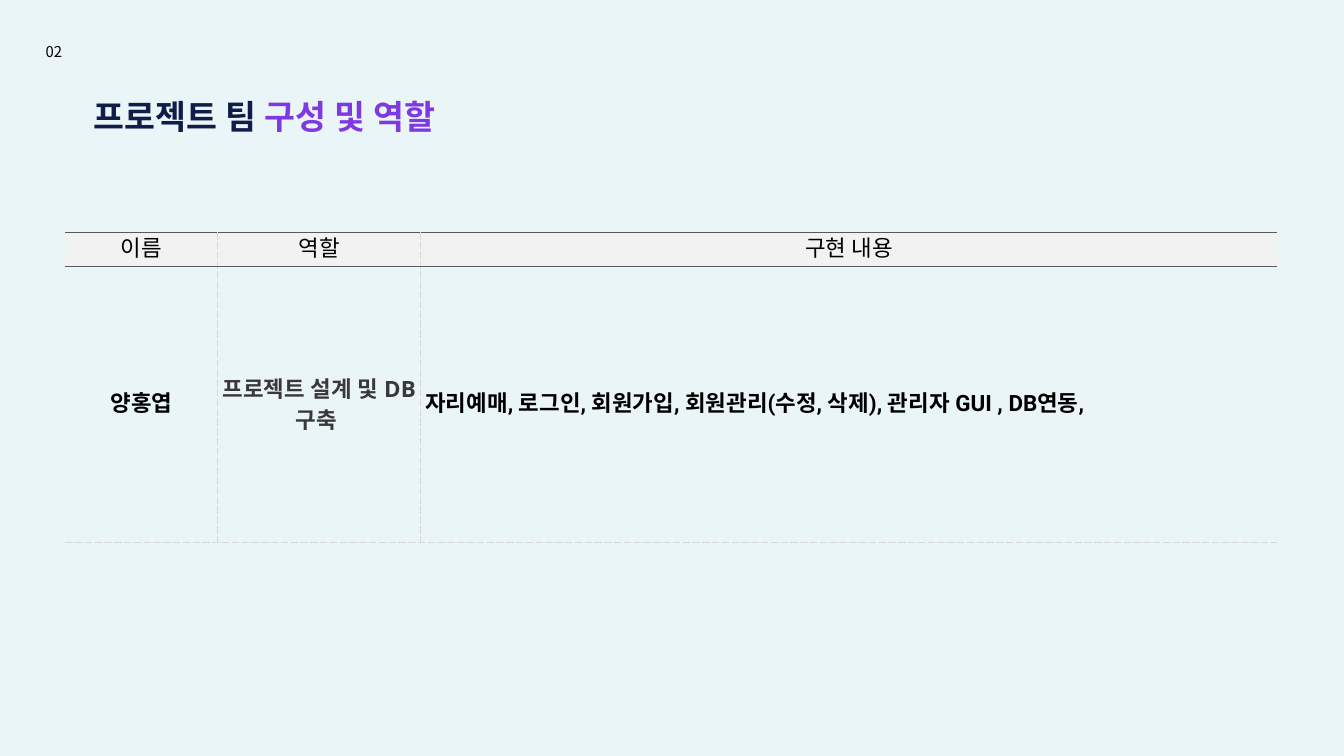
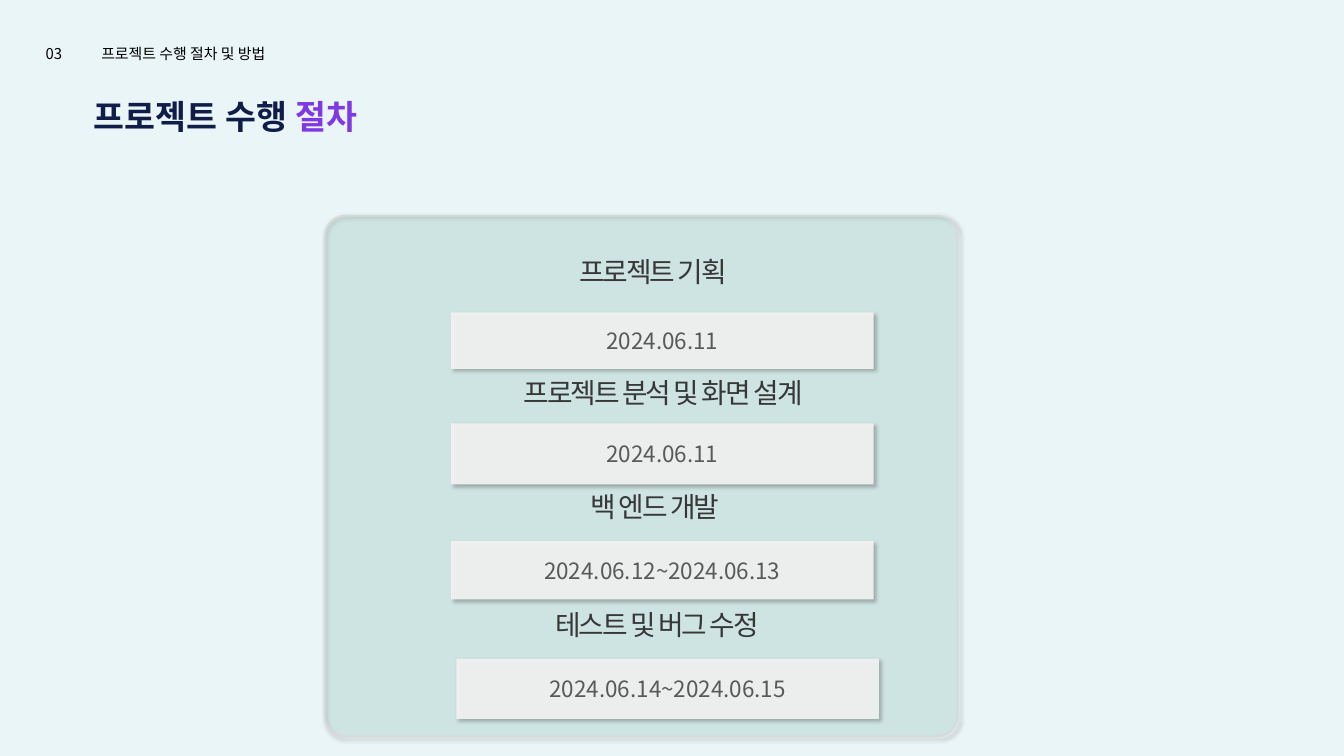
from dataclasses import dataclass

from lxml import etree
from pptx import Presentation
from pptx.dml.color import RGBColor
from pptx.enum.shapes import MSO_SHAPE
from pptx.enum.text import MSO_ANCHOR, MSO_AUTO_SIZE, PP_ALIGN
from pptx.oxml.ns import qn
from pptx.util import Inches, Pt

RECTANGLE, ROUNDED = MSO_SHAPE.RECTANGLE, MSO_SHAPE.ROUNDED_RECTANGLE
LEFT, CENTER = PP_ALIGN.LEFT, PP_ALIGN.CENTER
MIDDLE = MSO_ANCHOR.MIDDLE
GROW = MSO_AUTO_SIZE.SHAPE_TO_FIT_TEXT
PLAIN_TABLE = "{2D5ABB26-0587-4C30-8999-92F81FD0307C}"

# The slide is a grid of 80 columns and 45 rows, each a quarter inch
COLUMNS, ROWS, UNIT = 80, 45, 0.25


@dataclass(frozen=True)
class Theme:
    background: str = "DBEEF4"
    navy: str = "111D49"
    purple: str = "7F39E3"
    black: str = "000000"
    heading: str = "373737"
    role: str = "3A3838"
    grey: str = "595959"
    rule: str = "D9D9D9"
    light: str = "F2F2F2"
    green: str = "289B6E"
    sans: str = "Noto Sans CJK KR"
    display: str = "Roboto"
    role_font: str = "Open Sans"
    stage_font: str = "Calibri"
    small: float = 16
    body: float = 24
    stage: float = 29.8
    title: float = 36
    stage_leading: float = 41.7


THEME = Theme()


@dataclass(frozen=True)
class Box:
    """An area in grid units."""
    left: float
    top: float
    width: float
    height: float

    def inner(self, left, top, width, height):
        return Box(self.left + left, self.top + top, width, height)

    def lengths(self):
        return [Inches(value * UNIT) for value in (self.left, self.top, self.width, self.height)]


PAGE = Box(0, 0, COLUMNS, ROWS)


# Shared helpers
def set_alpha(element, percent):
    color = next(element.iter(qn("a:srgbClr")))
    etree.SubElement(color, qn("a:alpha"), val=str(percent * 1000))


def set_fill(shape, color, percent):
    shape.fill.solid()
    shape.fill.fore_color.rgb = RGBColor.from_string(color)
    set_alpha(shape._element.spPr.find(qn("a:solidFill")), percent)


def style_span(span, font, size, color, bold=False):
    span.font.name = font
    span.font.size = Pt(size)
    span.font.bold = bold
    span.font.color.rgb = RGBColor.from_string(color)
    east_asian = etree.SubElement(span.font._element, qn("a:ea"))
    east_asian.set("typeface", font)


def write(frame, text, font, size, color, bold=False, align=LEFT):
    frame.text = text
    para = frame.paragraphs[0]
    para.alignment = align
    style_span(para.runs[0], font, size, color, bold)
    return para


def add_text(page, box, text, font, size, color, align=LEFT):
    shape = page.shapes.add_textbox(*box.lengths())
    frame = shape.text_frame
    frame.word_wrap = True
    frame.auto_size = GROW
    return frame, write(frame, text, font, size, color, align=align)


def add_shadow(shape):
    shape.shadow.inherit = False
    effects = shape._element.spPr.find(qn("a:effectLst"))
    shadow = etree.SubElement(effects, qn("a:outerShdw"), blurRad=str(Pt(4)), dist=str(Pt(3)),
                              dir=str(45 * 60000), algn="tl", rotWithShape="0")
    color = etree.SubElement(shadow, qn("a:srgbClr"), val=THEME.black)
    etree.SubElement(color, qn("a:alpha"), val="25000")


def add_page(deck):
    page = deck.slides.add_slide(deck.slide_layouts[6])
    page.background.fill.solid()
    page.background.fill.fore_color.rgb = RGBColor.from_string(THEME.background)
    set_alpha(page.element.find(".//" + qn("p:bg")), 57)
    return page


# Page number, optional section name and two-colour title
def add_header(page, box, number, number_top, title, accent, title_width, section=None):
    labels = [(number, 2.32, 2.04)]
    if section:
        labels.append((section, 5.64, 12.92))
    for text, left, width in labels:
        add_text(page, box.inner(left, number_top, width, 1.48), text,
                 THEME.sans, THEME.small, THEME.black)

    title_box = box.inner(5.16, 5.52, title_width, 2.84)
    frame, para = add_text(page, title_box, title, THEME.display, THEME.title, THEME.navy)
    frame.word_wrap = False
    para.runs[0].font.bold = True
    span = para.add_run()
    span.text = accent
    style_span(span, THEME.display, THEME.title, THEME.purple, True)


# Table of members and roles
def set_border(cell, side, color, dash="solid"):
    properties = cell._tc.get_or_add_tcPr()
    line = etree.SubElement(properties, qn("a:ln" + side), w=str(Pt(1)))
    if color is None:
        etree.SubElement(line, qn("a:noFill"))
        return
    fill = etree.SubElement(line, qn("a:solidFill"))
    etree.SubElement(fill, qn("a:srgbClr"), val=color)
    etree.SubElement(line, qn("a:prstDash"), val=dash)


def style_cell(cell, is_header, is_first, is_last):
    cell.vertical_anchor = MIDDLE
    cell.margin_left = cell.margin_right = Inches(0.07)
    cell.margin_top = cell.margin_bottom = Inches(0.01)
    set_border(cell, "L", None if is_first else THEME.rule, "sysDash")
    set_border(cell, "R", None if is_last else THEME.rule, "sysDash")
    set_border(cell, "T", THEME.grey)
    if is_header:
        set_border(cell, "B", THEME.grey)
        cell.fill.solid()
        cell.fill.fore_color.rgb = RGBColor.from_string(THEME.light)
    else:
        set_border(cell, "B", THEME.rule, "sysDash")
        cell.fill.background()


def add_role_table(page, box):
    widths, heights = (9.08, 12.08, 51), (2, 16.44)
    headings = ("이름", "역할", "구현 내용")
    member = (
        ("양홍엽", THEME.display, THEME.black, CENTER),
        ("프로젝트 설계 및 DB 구축 ", THEME.role_font, THEME.role, CENTER),
        ("자리예매, 로그인, 회원가입, 회원관리(수정, 삭제), 관리자 GUI , DB연동,",
         THEME.display, THEME.black, LEFT),
    )
    table = page.shapes.add_table(len(heights), len(widths), *box.lengths()).table
    table.first_row = table.horz_banding = False
    table._tbl.tblPr.find(qn("a:tableStyleId")).text = PLAIN_TABLE
    for row, height in zip(table.rows, heights):
        row.height = Inches(height * UNIT)
    for index, width in enumerate(widths):
        table.columns[index].width = Inches(width * UNIT)
        for row in range(len(heights)):
            style_cell(table.cell(row, index), row == 0, index == 0, index == len(widths) - 1)
        write(table.cell(0, index).text_frame, headings[index], THEME.display,
              THEME.body, THEME.black, align=CENTER)
        text, font, color, align = member[index]
        write(table.cell(1, index).text_frame, text, font, THEME.body, color, True, align)


# Panel of dated project stages
def add_stage_title(page, box, text):
    frame, para = add_text(page, box, text, THEME.stage_font, THEME.stage, THEME.heading, CENTER)
    frame.margin_left = frame.margin_right = frame.margin_top = frame.margin_bottom = 0
    para.line_spacing = Pt(THEME.stage_leading)
    para.runs[0].font._element.set("spc", "-200")


def add_date_bar(page, box, dates):
    bar = page.shapes.add_shape(RECTANGLE, *box.lengths())
    set_fill(bar, THEME.light, 94)
    bar.line.fill.background()
    add_shadow(bar)
    bar.text_frame.vertical_anchor = MIDDLE
    write(bar.text_frame, dates, THEME.sans, THEME.body, THEME.grey, align=CENTER)


def add_stage_panel(page, box):
    panel = page.shapes.add_shape(ROUNDED, *box.lengths())
    panel.adjustments[0] = 0.04
    set_fill(panel, THEME.green, 11)
    panel.line.color.rgb = RGBColor.from_string(THEME.rule)
    panel.line.width = Pt(2)
    set_alpha(panel._element.spPr.find(qn("a:ln")), 98)
    add_shadow(panel)

    # Title, its left and top; dates, their left, top and height
    stages = (
        ("프로젝트 기획", 3.36, 2, "2024.06.11", 7.52, 5.76, 3.36),
        ("프로젝트 분석 및 화면 설계", 3.96, 9.2, "2024.06.11", 7.52, 12.36, 3.64),
        ("백 엔드 개발 ", 3.6, 16, "2024.06.12~2024.06.13", 7.52, 19.36, 3.48),
        ("테스트 및 버그 수정", 3.6, 23, "2024.06.14~2024.06.15", 7.84, 26.36, 3.6),
    )
    for title, title_left, title_top, dates, bar_left, bar_top, bar_height in stages:
        add_stage_title(page, box.inner(title_left, title_top, 32.4, 2.3), title)
        add_date_bar(page, box.inner(bar_left, bar_top, 25.16, bar_height), dates)


# Slides
def add_team_page(deck):
    page = add_page(deck)
    add_header(page, PAGE, "02", 2.36, "프로젝트 팀 ", "구성 및 역할", 22.52)
    add_role_table(page, PAGE.inner(3.88, 13.84, 72.16, 18.44))


def add_process_page(deck):
    page = add_page(deck)
    add_header(page, PAGE, "03", 2.48, "프로젝트 수행 ", "절차", 17.48,
               section="프로젝트 수행 절차 및 방법")
    add_stage_panel(page, PAGE.inner(19.32, 12.84, 37.68, 31))


def main():
    deck = Presentation()
    deck.slide_width = Inches(COLUMNS * UNIT)
    deck.slide_height = Inches(ROWS * UNIT)
    add_team_page(deck)
    add_process_page(deck)
    deck.save("out.pptx")


if __name__ == "__main__":
    main()
